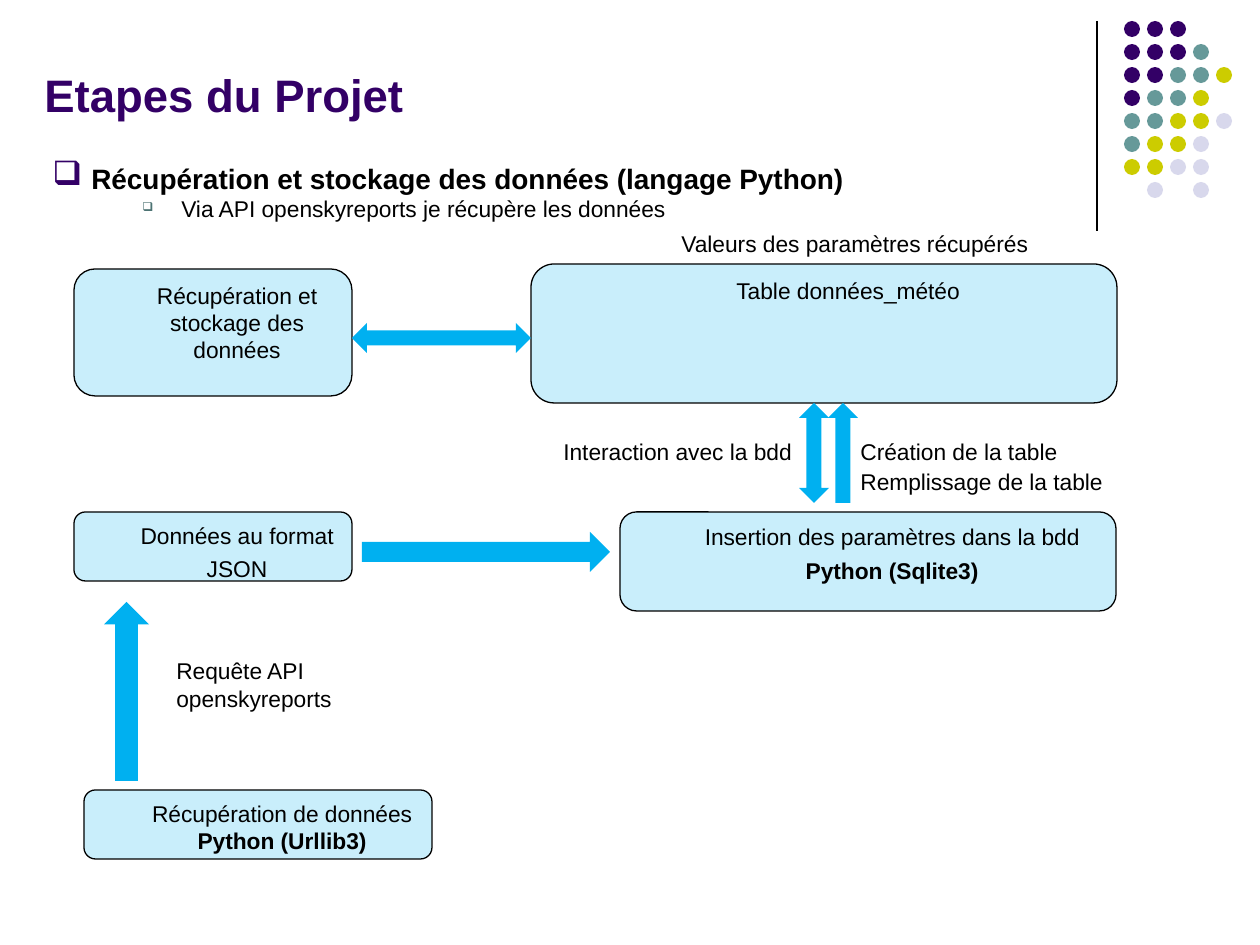
"""Build the project steps slide: a flow of weather data from API to database table."""
import lxml.etree
import pptx
import pptx.dml.color
import pptx.enum.shapes
import pptx.enum.text
import pptx.oxml.ns
import pptx.util

SCALE = 914400 / 126
SHAPES = pptx.enum.shapes.MSO_SHAPE
ALIGN = pptx.enum.text.PP_ALIGN
THEME = {
    "font": "Arial", "title": 26, "heading": 16, "body": 13, "line": 0.75, "opacity": 21,
    "purple": "330066", "teal": "669999", "olive": "CCCC00", "lilac": "D8D8EC",
    "bullet": "4D7373", "black": "000000", "blue": "00B0F0",
}

TITLE = ("Etapes du Projet", (32, 45, 1061, 83))
OUTLINE_AREA = (34, 155, 1057, 100)
OUTLINE = [
    {"text": "Récupération et stockage des données (langage Python)", "level": 0, "size": "heading",
     "bold": True, "margin": 45, "bullet": "purple", "percent": 120, "before": 0, "after": 0.1},
    {"text": "Via API openskyreports je récupère les données", "level": 1, "size": "body",
     "bold": False, "margin": 135, "bullet": "bullet", "percent": 55, "before": 0.1, "after": 4.1},
]
HANGING = 39
BOXES = [
    ([[("Table données_météo", False)]], (531, 264, 586, 139)),
    ([[("Données au format", False)], [("JSON", False)]], (74, 512, 278, 69)),
    ([[("Récupération de données ", False), ("Python (Urllib3)", True)]], (84, 790, 348, 69)),
    ([[("Insertion des paramètres dans la bdd", False)], [("Python (Sqlite3)", True)]],
     (620, 512, 496, 99)),
    ([[("Récupération et stockage des données", False)]], (74, 269, 278, 127)),
]
BOX_INDENT = 48
ARROWS = [
    (SHAPES.UP_ARROW, (104, 602, 45, 179)),
    (SHAPES.RIGHT_ARROW, (362, 532, 248, 40)),
    (SHAPES.UP_ARROW, (828, 403, 30, 100)),
    (SHAPES.UP_DOWN_ARROW, (799, 403, 30, 100)),
    (SHAPES.LEFT_RIGHT_ARROW, (352, 323, 179, 30)),
]
LABELS = [
    ("Valeurs des paramètres récupérés", (669, 224, 397, 40)),
    ("Requête API openskyreports", (164, 651, 278, 68)),
    ("Interaction avec la bdd", (551, 432, 278, 40)),
    ("Remplissage de la table", (848, 462, 277, 40)),
    ("Création de la table", (848, 432, 277, 40)),
]
DOT_ROWS = ["PPP", "PPPT", "PPTTO", "PTTO", "TTOOL", "TOOL", "OOLL", " L L"]
DOT_COLORS = {"P": "purple", "T": "teal", "O": "olive", "L": "lilac"}
DOT_LEFT, DOT_TOP, DOT_PITCH, DOT_SIZE = 1124, 21, 23, 16
DIVIDER = (1097, 21, 1097, 231)


def px(value):
    return pptx.util.Emu(round(value * SCALE))


def place(lengths):
    return [px(value) for value in lengths]


def color(name):
    return pptx.dml.color.RGBColor.from_string(THEME[name])


def add_xml(parent, tag, **attributes):
    return lxml.etree.SubElement(parent, pptx.oxml.ns.qn(tag), attributes)


def add_run(paragraph, text, size="body", bold=False, tint="black"):
    run = paragraph.add_run()
    run.text = text
    run.font.name = THEME["font"]
    run.font.size = pptx.util.Pt(THEME[size])
    run.font.bold = bold
    run.font.color.rgb = color(tint)


def next_paragraph(text_frame, index, before=3.4, after=0.1):
    paragraph = text_frame.add_paragraph() if index else text_frame.paragraphs[0]
    paragraph.space_before = pptx.util.Pt(before if index else 0)
    paragraph.space_after = pptx.util.Pt(after)
    return paragraph


def add_filled(shapes, kind, area, fill):
    shape = shapes.add_shape(kind, *place(area))
    shape.shadow.inherit = False
    shape.fill.solid()
    shape.fill.fore_color.rgb = color(fill)
    shape.line.fill.background()
    return shape


def add_text(slide, area):
    text_frame = slide.shapes.add_textbox(*place(area)).text_frame
    text_frame.word_wrap = True
    return text_frame


def add_decoration(slide):
    divider = slide.shapes.add_connector(pptx.enum.shapes.MSO_CONNECTOR.STRAIGHT, *place(DIVIDER))
    divider.line.color.rgb = color("black")
    divider.line.width = pptx.util.Pt(THEME["line"])
    add_xml(divider._element.spPr, "a:effectLst")
    group = slide.shapes.add_group_shape()
    for row, codes in enumerate(DOT_ROWS):
        for column, code in enumerate(codes):
            if code in DOT_COLORS:
                area = (DOT_LEFT + column * DOT_PITCH, DOT_TOP + row * DOT_PITCH, DOT_SIZE, DOT_SIZE)
                add_filled(group.shapes, SHAPES.OVAL, area, DOT_COLORS[code])


def add_title(slide):
    text, area = TITLE
    text_frame = add_text(slide, area)
    text_frame.vertical_anchor = pptx.enum.text.MSO_ANCHOR.BOTTOM
    add_run(next_paragraph(text_frame, 0), text, "title", True, "purple")


def add_outline(slide):
    text_frame = add_text(slide, OUTLINE_AREA)
    for index, item in enumerate(OUTLINE):
        paragraph = next_paragraph(text_frame, index, item["before"], item["after"])
        paragraph.level = item["level"]
        properties = paragraph._p.get_or_add_pPr()
        properties.set("marL", str(px(item["margin"])))
        properties.set("indent", str(px(-HANGING)))
        add_xml(add_xml(properties, "a:buClr"), "a:srgbClr", val=THEME[item["bullet"]])
        add_xml(properties, "a:buSzPct", val=str(item["percent"] * 1000))
        add_xml(properties, "a:buChar", char="❑")
        add_run(paragraph, item["text"], item["size"], item["bold"])


def add_box(slide, paragraphs, area):
    box = add_filled(slide.shapes, SHAPES.ROUNDED_RECTANGLE, area, "blue")
    tint = box._element.spPr.find(".//" + pptx.oxml.ns.qn("a:srgbClr"))
    add_xml(tint, "a:alpha", val=str(THEME["opacity"] * 1000))
    box.line.color.rgb = color("black")
    box.line.width = pptx.util.Pt(THEME["line"])
    box.text_frame.word_wrap = True
    box.text_frame.vertical_anchor = pptx.enum.text.MSO_ANCHOR.TOP
    for index, runs in enumerate(paragraphs):
        paragraph = next_paragraph(box.text_frame, index)
        paragraph.alignment = ALIGN.CENTER
        paragraph._p.get_or_add_pPr().set("marL", str(px(BOX_INDENT)))
        for text, bold in runs:
            add_run(paragraph, text, bold=bold)


def main():
    presentation = pptx.Presentation()
    presentation.slide_width, presentation.slide_height = place((1260, 945))
    slide = presentation.slides.add_slide(presentation.slide_layouts[6])
    add_decoration(slide)
    add_title(slide)
    add_outline(slide)
    for paragraphs, area in BOXES:
        add_box(slide, paragraphs, area)
    for kind, area in ARROWS:
        add_filled(slide.shapes, kind, area, "blue")
    for text, area in LABELS:
        text_frame = add_text(slide, area)
        text_frame.auto_size = pptx.enum.text.MSO_AUTO_SIZE.SHAPE_TO_FIT_TEXT
        add_run(next_paragraph(text_frame, 0), text)
    presentation.save("out.pptx")


if __name__ == "__main__":
    main()
